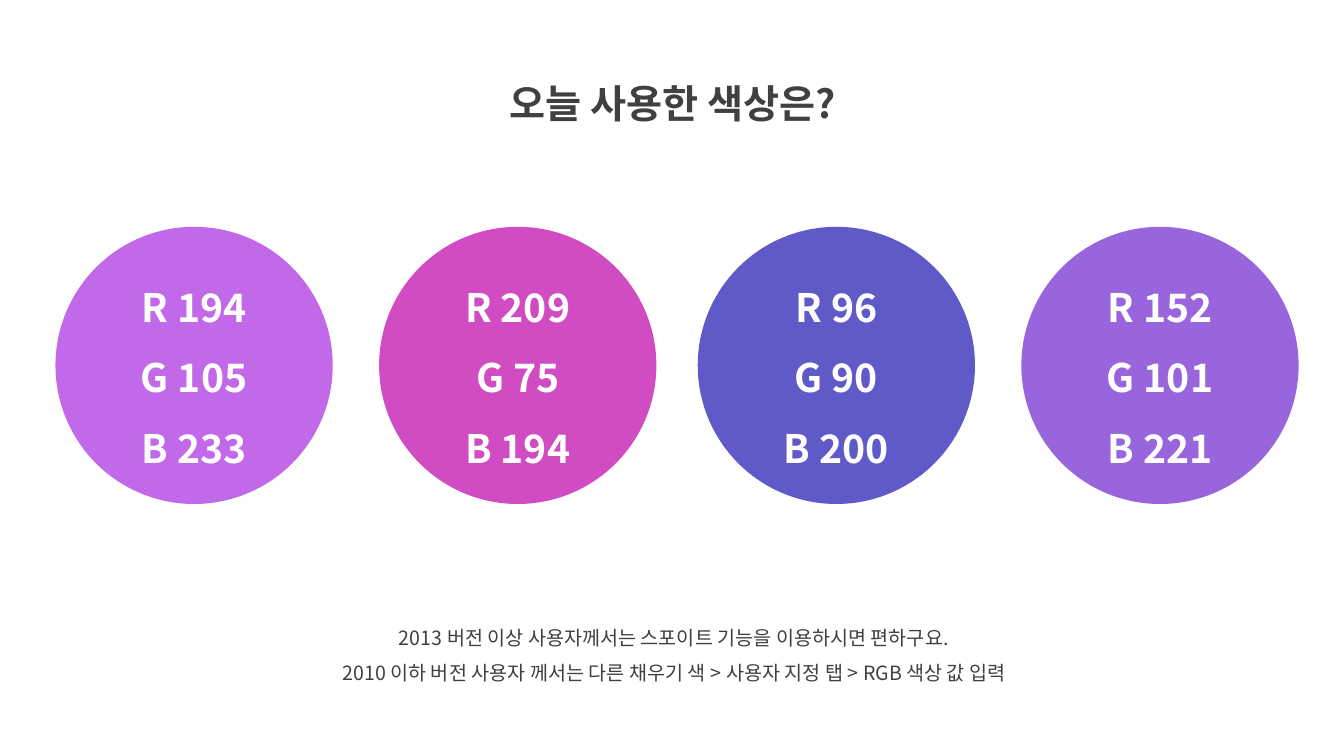
from lxml import etree
from pptx import Presentation
from pptx.dml.color import RGBColor
from pptx.enum.shapes import MSO_SHAPE
from pptx.enum.text import MSO_ANCHOR, MSO_AUTO_SIZE, PP_ALIGN
from pptx.oxml.ns import qn
from pptx.util import Inches, Pt

OVAL = MSO_SHAPE.OVAL
MIDDLE = MSO_ANCHOR.MIDDLE
GROW = MSO_AUTO_SIZE.SHAPE_TO_FIT_TEXT
CENTER = PP_ALIGN.CENTER

TITLE = ["오늘 사용한 색상은?"]
NOTES = [
    "2013 버전 이상 사용자께서는 스포이트 기능을 이용하시면 편하구요.",
    "2010 이하 버전 사용자 께서는 다른 채우기 색 > 사용자 지정 탭 > RGB 색상 값 입력",
]
COLORS = {
    "text": "404040",
    "white": "FFFFFF",
    "lilac": "C269E9",
    "magenta": "D14BC2",
    "indigo": "605AC8",
    "violet": "9865DD",
}
SWATCHES = [("lilac", 0.55), ("magenta", 3.76), ("indigo", 6.92), ("violet", 10.13)]
FONT = "Noto Sans CJK KR"
WIDTH, HEIGHT = 13.33, 7.5
DIAMETER = 2.75
SWATCH_TOP = 0.3 * HEIGHT


def write(tf, lines, size, color, bold=False):
    tf.word_wrap = True
    tf.text = "\n".join(lines)
    for p in tf.paragraphs:
        p.alignment = CENTER
        p.line_spacing = 1.5
        for r in p.runs:
            r.font.size = Pt(size)
            r.font.bold = bold
            r.font.color.rgb = RGBColor.from_string(COLORS[color])
            r.font.name = FONT
            ea = etree.SubElement(r.font._element, qn("a:ea"))
            ea.set("typeface", FONT)


def add_text(slide, box, lines, size, bold=False):
    tf = slide.shapes.add_textbox(*map(Inches, box)).text_frame
    write(tf, lines, size, "text", bold)
    tf.auto_size = GROW


def add_swatch(slide, name, left):
    box = (left, SWATCH_TOP, DIAMETER, DIAMETER)
    sp = slide.shapes.add_shape(OVAL, *map(Inches, box))
    rgb = RGBColor.from_string(COLORS[name])
    sp.shadow.inherit = False
    sp.fill.solid()
    sp.fill.fore_color.rgb = rgb
    sp.line.fill.background()
    sp.text_frame.vertical_anchor = MIDDLE
    labels = [f"{channel} {value}" for channel, value in zip("RGB", rgb)]
    write(sp.text_frame, labels, 28, "white", True)


def main():
    prs = Presentation()
    prs.slide_width, prs.slide_height = Inches(WIDTH), Inches(HEIGHT)
    slide = prs.slides.add_slide(prs.slide_layouts[6])
    add_text(slide, (4.36, 0.5, 4.63, 0.72), TITLE, 28, True)
    add_text(slide, (2.69, 6.04, 7.99, 0.81), NOTES, 14)
    for name, left in SWATCHES:
        add_swatch(slide, name, left)
    prs.save("out.pptx")


if __name__ == "__main__":
    main()
